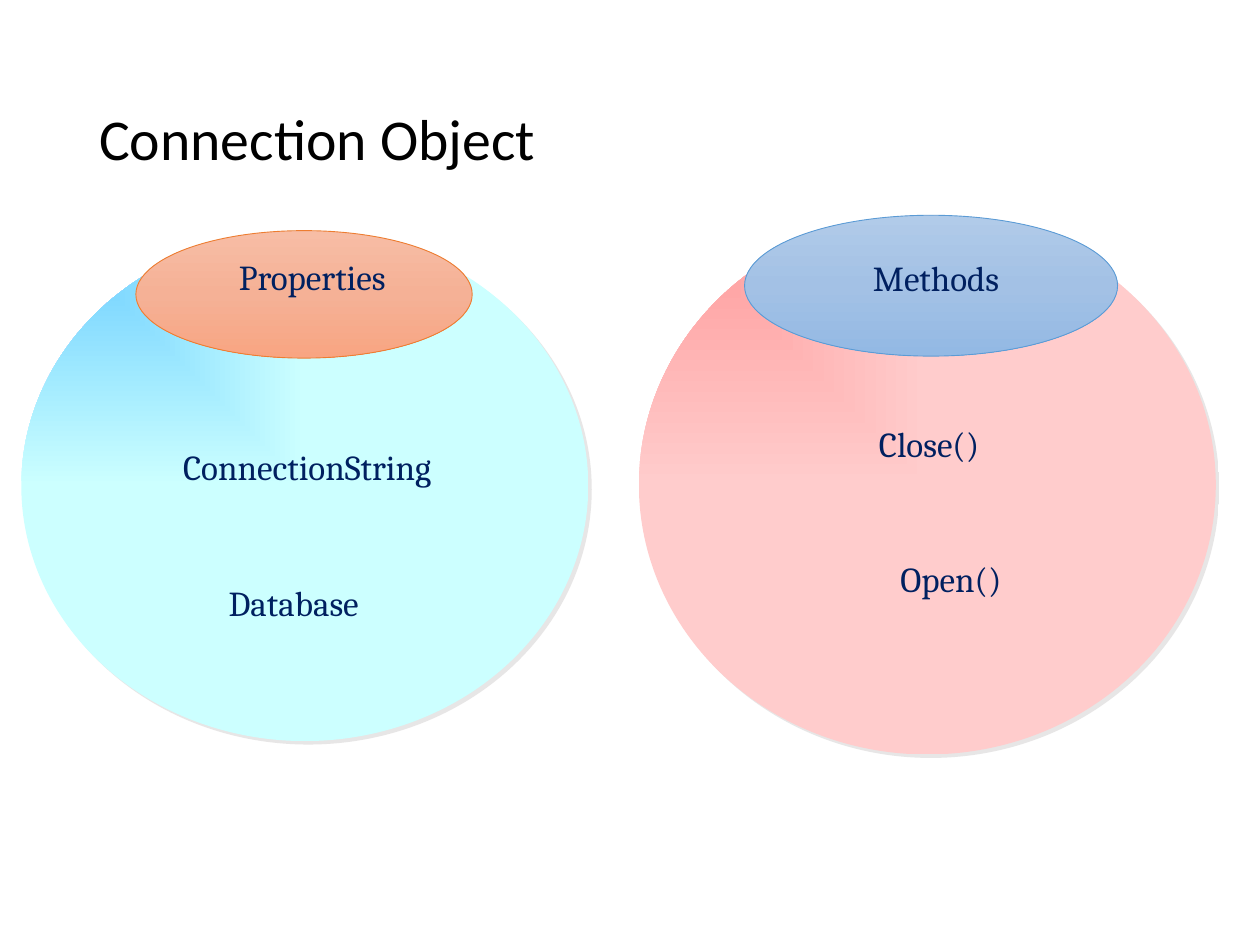
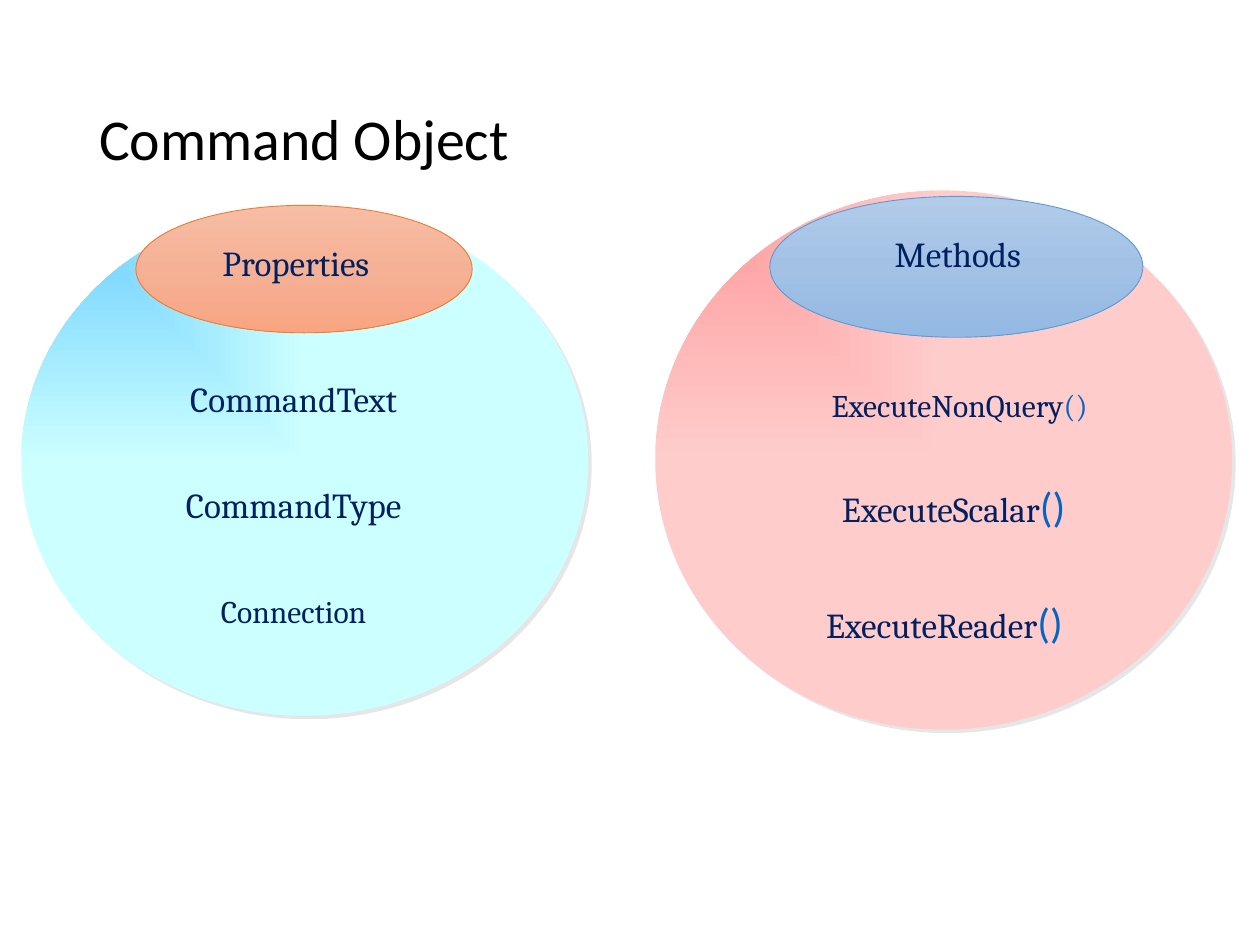
from lxml import etree
from pptx import Presentation
from pptx import util as u
from pptx.dml.color import RGBColor
from pptx.enum import shapes, text
from pptx.oxml import ns

BLACK = RGBColor(0x00, 0x00, 0x00)
NAVY = RGBColor(0x00, 0x20, 0x60)
LINK_BLUE = RGBColor(0x05, 0x63, 0xC1)
SHADOW_GREY = RGBColor(0xE7, 0xE6, 0xE6)
ORANGE = RGBColor(0xED, 0x7D, 0x31)
BLUE = RGBColor(0x5B, 0x9B, 0xD5)
CYAN_BLEND = (RGBColor(0x66, 0xCC, 0xFF), RGBColor(0xCC, 0xFF, 0xFF))
PINK_BLEND = (RGBColor(0xFF, 0x99, 0x99), RGBColor(0xFF, 0xCC, 0xCC))
ORANGE_BLEND = (RGBColor(0xF7, 0xBD, 0xA5), RGBColor(0xF5, 0xB1, 0x96),
                RGBColor(0xF8, 0xA5, 0x82))
BLUE_BLEND = (RGBColor(0xB1, 0xCB, 0xE9), RGBColor(0xA3, 0xC1, 0xE5),
              RGBColor(0x93, 0xB9, 0xE4))

TITLE_FONT = "Calibri"
LABEL_FONT = "Cambria"


def child(parent, tag, **attributes):
    return etree.SubElement(parent, ns.qn(tag), attributes)


def write(paragraph, content, size=20, font=LABEL_FONT, color=NAVY):
    run = paragraph.add_run()
    run.text = content
    run.font.size = u.Pt(size)
    run.font.name = font
    run.font.color.rgb = color


def blend(shape, colors, from_corner=False):
    """Fill with evenly spaced stops, downwards or from the top left corner."""
    shape.fill.gradient()
    gradient = shape._element.spPr.find(ns.qn("a:gradFill"))
    for old in list(gradient):
        gradient.remove(old)
    stops = child(gradient, "a:gsLst")
    for index, color in enumerate(colors):
        position = 100000 * index // (len(colors) - 1)
        stop = child(stops, "a:gs", pos=str(position))
        child(stop, "a:srgbClr", val=str(color))
    if from_corner:
        path = child(gradient, "a:path", path="rect")
        child(path, "a:fillToRect", r="100000", b="100000")
    else:
        child(gradient, "a:lin", ang="5400000", scaled="0")


class Deck:
    def __init__(self):
        self.presentation = Presentation()
        self.presentation.slide_width = u.Cm(25.4)
        self.presentation.slide_height = u.Cm(19.05)
        self.slide = None

    def start_slide(self, title):
        blank = self.presentation.slide_layouts[6]
        self.slide = self.presentation.slides.add_slide(blank)
        paragraph = self.text_box(1.75, 1.02, 21.9, 3.68, text.MSO_ANCHOR.MIDDLE)
        paragraph.line_spacing = 0.9
        write(paragraph, title, size=33, font=TITLE_FONT, color=BLACK)

    def text_box(self, left, top, width, height, anchor):
        """Add an empty box and return its paragraph."""
        box = self.slide.shapes.add_textbox(
            u.Cm(left), u.Cm(top), u.Cm(width), u.Cm(height))
        box.text_frame.word_wrap = True
        box.text_frame.vertical_anchor = anchor
        return box.text_frame.paragraphs[0]

    def label(self, content, left, top, width, height=1.27, suffix="",
              suffix_format=None, **name_format):
        paragraph = self.text_box(left, top, width, height, text.MSO_ANCHOR.BOTTOM)
        paragraph.alignment = text.PP_ALIGN.CENTER
        write(paragraph, content, **name_format)
        if suffix:
            write(paragraph, suffix, color=LINK_BLUE, **suffix_format)

    def ellipse(self, left, top, width, height):
        shape = self.slide.shapes.add_shape(
            shapes.MSO_SHAPE.OVAL, u.Cm(left), u.Cm(top), u.Cm(width), u.Cm(height))
        shape.shadow.inherit = False
        return shape

    def bubble(self, left, top, width, height, colors):
        """Add a large borderless ellipse with a soft grey edge at lower right."""
        shape = self.ellipse(left, top, width, height)
        blend(shape, colors, from_corner=True)
        shape.line.fill.background()
        effects = shape._element.spPr.find(ns.qn("a:effectLst"))
        shadow = child(effects, "a:outerShdw", dist=str(u.Pt(2.8)),
                       dir="2700000", algn="ctr", rotWithShape="0")
        child(shadow, "a:srgbClr", val=str(SHADOW_GREY))

    def badge(self, left, top, width, height, colors, outline):
        shape = self.ellipse(left, top, width, height)
        blend(shape, colors)
        shape.line.color.rgb = outline
        shape.line.width = u.Pt(0.5)

    def methods_group(self, bubble_at, badge_at, heading_at):
        self.bubble(*bubble_at, 11.63, 10.87, PINK_BLEND)
        self.badge(*badge_at, 7.52, 2.84, BLUE_BLEND, BLUE)
        self.label("Methods", *heading_at, 6.86)

    def properties_group(self, top, heading_at):
        self.bubble(0.43, top, 11.43, 10.29, CYAN_BLEND)
        self.badge(2.74, top, 6.78, 2.57, ORANGE_BLEND, ORANGE)
        self.label("Properties", *heading_at, 4.57, 0.84)


def connection_slide(deck):
    deck.start_slide("Connection Object")
    deck.methods_group((12.88, 4.34), (15.01, 4.34), (15.44, 4.88))
    deck.label("Close()", 15.44, 8.26, 6.58, 1.22)
    deck.label("Open()", 15.88, 11, 6.58, 1.22)
    deck.properties_group(4.65, (4.01, 5.28))
    deck.label("ConnectionString", 1.9, 8.69, 8.59)
    deck.label("Database", 2.11, 11.43, 7.62)


def command_slide(deck):
    deck.start_slide("Command Object")
    deck.methods_group((13.21, 3.84), (15.52, 3.96), (15.88, 4.39))
    large = {"size": 24, "font": TITLE_FONT}
    small = {"size": 18, "font": LABEL_FONT}
    methods = [
        ("ExecuteNonQuery", 15.32, 7.44, 8.05, 18, small),
        ("ExecuteScalar", 14.88, 9.6, 8.69, 20, large),
        ("ExecuteReader", 15.75, 11.94, 6.58, 20, large),
    ]
    for name, left, top, width, size, suffix_format in methods:
        deck.label(name, left, top, width, 1.22, suffix="()",
                   suffix_format=suffix_format, size=size)
    deck.properties_group(4.14, (3.68, 5))
    properties = [("CommandText", 20), ("CommandType", 20), ("Connection", 18)]
    for row, (name, size) in enumerate(properties):
        deck.label(name, 2.11, 7.32 + 2.12 * row, 7.62, size=size)


def main():
    deck = Deck()
    connection_slide(deck)
    command_slide(deck)
    deck.presentation.save("out.pptx")


if __name__ == "__main__":
    main()
